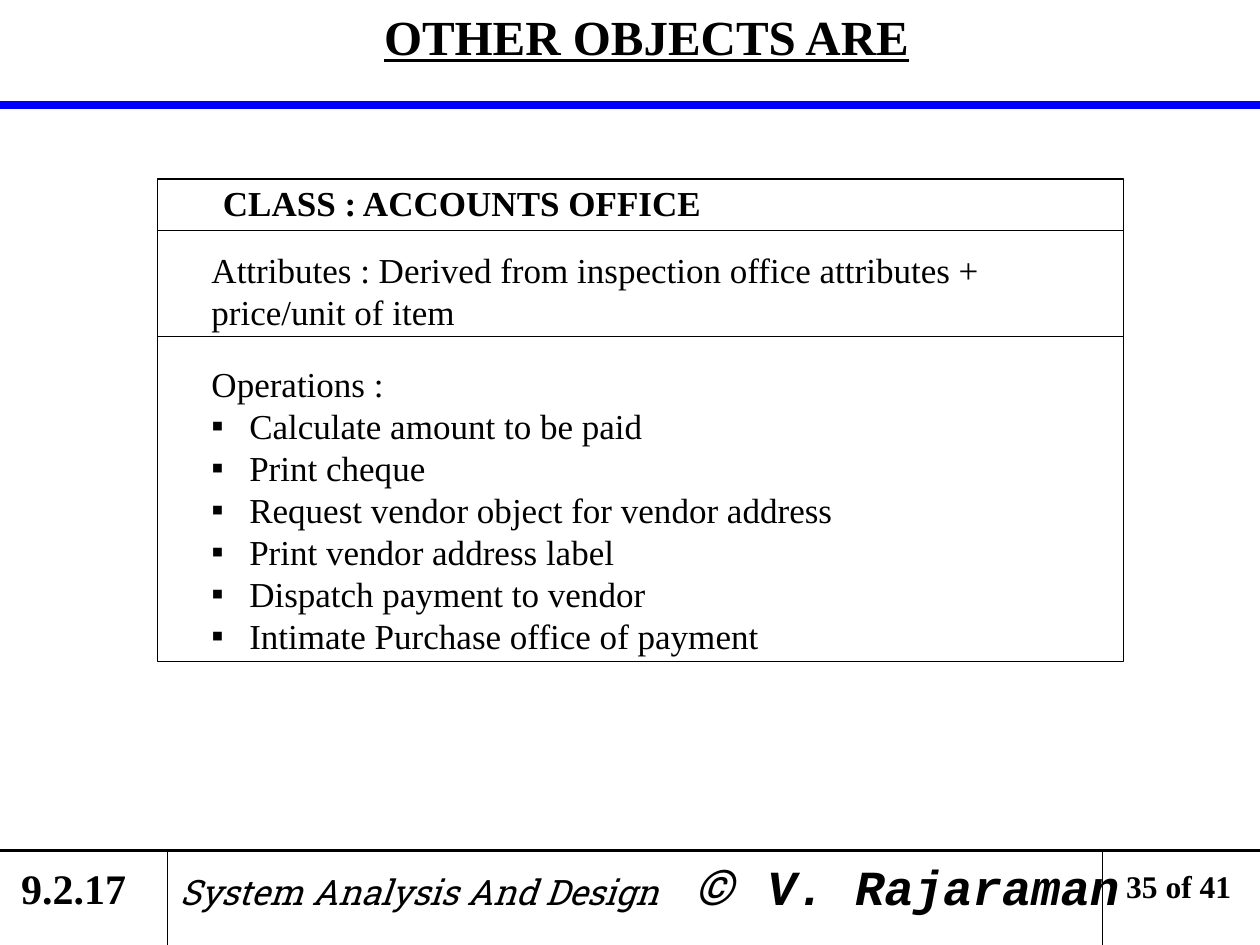
from pptx import Presentation
from pptx.dml.color import RGBColor
from pptx.enum.shapes import MSO_CONNECTOR as Link, MSO_SHAPE as Shape
from pptx.enum.text import PP_ALIGN as Align
from pptx.oxml.ns import qn
from pptx.util import Inches, Pt
from lxml.etree import SubElement as Sub

BLACK, BLUE = "000000", "0000FF"
SERIF, SLAB, MONO = "Times New Roman", "Roboto Slab", "Courier New"
INDENT = 0.3


def color(code):
    return RGBColor.from_string(code)


def style(run, font=SERIF, size=20, bold=False, italic=False, under=False):
    face = run.font
    face.name, face.size = font, Pt(size)
    face.bold, face.italic, face.underline = bold, italic, under
    face.color.rgb = color(BLACK)


def set_tabs(para, stops):
    tabs = Sub(para._p.get_or_add_pPr(), qn("a:tabLst"))
    for stop in stops:
        Sub(tabs, qn("a:tab"), pos=str(Inches(stop)), algn="l")


def set_bullet(para):
    props = para._p.get_or_add_pPr()
    props.set("marL", str(Inches(INDENT)))
    props.set("indent", str(-Inches(INDENT)))
    tint = Sub(props, qn("a:buClr"))
    Sub(tint, qn("a:srgbClr"), val=BLACK)
    Sub(props, qn("a:buFont"), typeface=SERIF)
    Sub(props, qn("a:buChar"), char="▪")


class Page:
    """Holds the slide being drawn and its plain line style."""

    def __init__(self, slide, ink=BLACK, thin=0.75):
        self.slide, self.ink, self.thin = slide, ink, thin

    def line(self, x1, y1, x2, y2, ink=None, width=None):
        ends = [Inches(v) for v in (x1, y1, x2, y2)]
        link = self.slide.shapes.add_connector(Link.STRAIGHT, *ends)
        link.line.color.rgb = color(ink or self.ink)
        link.line.width = Pt(width or self.thin)
        Sub(link._element.spPr, qn("a:effectLst"))

    def frame(self, *place):
        box = self.slide.shapes.add_shape(Shape.RECTANGLE, *map(Inches, place))
        box.shadow.inherit = False
        box.fill.background()
        box.line.color.rgb = color(self.ink)
        box.line.width = Pt(self.thin)

    def text(self, place, words, wrap=True, align=Align.LEFT, **form):
        """Add a text box with one paragraph and return its frame."""
        body = self.slide.shapes.add_textbox(*map(Inches, place)).text_frame
        body.word_wrap = wrap
        para = body.paragraphs[0]
        para.alignment = align
        self.run(para, words, **form)
        return body

    def run(self, para, words, **form):
        run = para.add_run()
        run.text = words
        style(run, **form)

    def bullets(self, body, items):
        for item in items:
            para = body.add_paragraph()
            set_bullet(para)
            self.run(para, item)


def header(page):
    page.text((0.42, 0, 9.42, 0.57), "OTHER OBJECTS ARE", align=Align.CENTER,
              size=28, bold=True, under=True)
    page.line(0, 0.83, 10, 0.83, ink=BLUE, width=4.5)


def card(page):
    left, top, width, height = 1.25, 1.42, 7.67, 3.83
    page.frame(left, top, width, height)
    for y in (1.83, 2.67):
        page.line(left, y, left + width, y)
    page.text((1.67, 1.39, 4.01, 0.44), "CLASS : ACCOUNTS OFFICE",
              wrap=False, bold=True)
    page.text((1.58, 1.92, 7.08, 0.77),
              "Attributes : Derived from inspection office attributes + "
              "price/unit of item")
    body = page.text((1.58, 2.83, 6.68, 2.44), "Operations :")
    page.bullets(body, [
        "Calculate amount to be paid",
        "Print cheque",
        "Request vendor object for vendor address",
        "Print vendor address label",
        "Dispatch payment to vendor",
        "Intimate Purchase office of payment",
    ])


def footer(page):
    top = 6.75
    page.line(0, top, 10, top, width=2.25)
    for x in (1.33, 8.75):
        page.line(x, top, x, 7.5)
    page.text((0.07, 6.8, 1.03, 0.5), "9.2.17", wrap=False, size=24, bold=True)
    body = page.text((1.33, top, 7.67, 0.57), "System Analysis And Design",
                     font=SLAB, italic=True)
    body.margin_right = 0
    para = body.paragraphs[0]
    set_tabs(para, (4.08, 4.66))
    page.run(para, "\t©\t", font=SLAB, size=28, italic=True)
    page.run(para, "V. Rajaraman", font=MONO, size=28, bold=True, italic=True)
    page.text((8.84, 6.83, 1.03, 0.4), "35 of 41", wrap=False, size=18, bold=True)


def main():
    deck = Presentation()
    deck.slide_width, deck.slide_height = Inches(10), Inches(7.5)
    page = Page(deck.slides.add_slide(deck.slide_layouts[6]))
    header(page)
    card(page)
    footer(page)
    deck.save("out.pptx")


if __name__ == "__main__":
    main()
